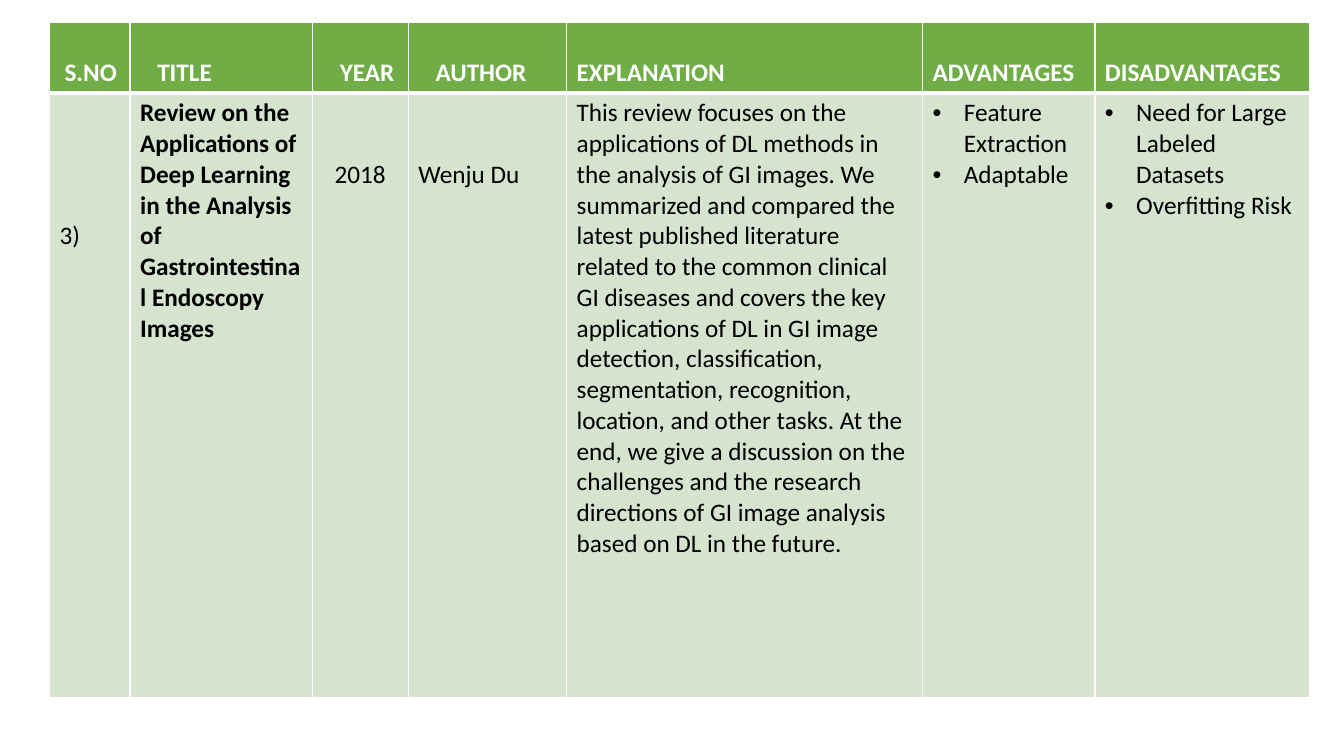
"""Builds a slide with a one-entry literature review table."""
from lxml import etree
from pptx import Presentation
from pptx.dml.color import RGBColor
from pptx.oxml import ns
from pptx.util import Inches, Pt

GREEN = RGBColor(0x70, 0xAD, 0x47)
PALE = RGBColor(0xD5, 0xE3, 0xCF)
WHITE = RGBColor(0xFF, 0xFF, 0xFF)
BLACK = RGBColor(0, 0, 0)
LINE = 0.305

heads = [("S.NO", 0.05), ("TITLE", 0.17), ("YEAR", 0.17), ("AUTHOR", 0.17),
         ("EXPLANATION", 0), ("ADVANTAGES", 0), ("DISADVANTAGES", 0)]
about = (
    "This review focuses on the applications of DL methods in the analysis of "
    "GI images. We summarized and compared the latest published literature "
    "related to the common clinical GI diseases and covers the key applications "
    "of DL in GI image detection, classification, segmentation, recognition, "
    "location, and other tasks. At the end, we give a discussion on the "
    "challenges and the research directions of GI image analysis based on DL "
    "in the future.")
title = ("Review on the Applications of Deep Learning in the Analysis of "
         "Gastrointestinal Endoscopy Images")
entry = [("3)", 0, 4), (title, 0, 0), ("2018", 0.12, 2), ("Wenju Du", 0, 2),
         (about, 0, 0), ("Feature Extraction\nAdaptable", 0, 0),
         ("Need for Large Labeled Datasets\nOverfitting Risk", 0, 0)]
rows = [[(words, shift, 1) for words, shift in heads], entry]
widths = [0.8, 1.81, 0.95, 1.57, 3.53, 1.71, 2.13]
heights = [0.7, 6]


def edge(cell, side, size):
    """Draws a white border on one side of a cell."""
    line = etree.SubElement(cell._tc.get_or_add_tcPr(), ns.qn("a:ln" + side),
                            w=str(Pt(size)))
    fill = etree.SubElement(line, ns.qn("a:solidFill"))
    etree.SubElement(fill, ns.qn("a:srgbClr"), val=str(WHITE))


def bullet(para):
    """Gives a paragraph a hanging round bullet."""
    props = para._p.get_or_add_pPr()
    props.set("marL", str(Inches(0.31)))
    props.set("indent", str(Inches(-0.31)))
    etree.SubElement(props, ns.qn("a:buFont"), typeface="Arial")
    etree.SubElement(props, ns.qn("a:buChar"), char="•")


deck = Presentation()
deck.slide_width = Inches(13.33)
deck.slide_height = Inches(7.5)
slide = deck.slides.add_slide(deck.slide_layouts[6])

frame = slide.shapes.add_table(2, 7, Inches(0.49), Inches(0.22),
                               Inches(sum(widths)), Inches(sum(heights)))
table = frame.table
for col, width in zip(table.columns, widths):
    col.width = Inches(width)
for row, height in zip(table.rows, heights):
    row.height = Inches(height)

for r, items in enumerate(rows):
    head = r == 0
    for c, (words, shift, skip) in enumerate(items):
        cell = table.cell(r, c)
        for side in "LRTB":
            edge(cell, side, 3 if side == ("B" if head else "T") else 1)
        cell.fill.solid()
        cell.fill.fore_color.rgb = GREEN if head else PALE
        cell.margin_left = Inches(0.1 + shift)
        cell.margin_right = Inches(0 if head else 0.1)
        cell.margin_top = Inches(0.05 + skip * LINE)
        cell.margin_bottom = Inches(0 if head else 0.05)
        cell.text = words
        for para in cell.text_frame.paragraphs:
            if not head and c > 4:
                bullet(para)
            font = para.font
            font.name = "Calibri"
            font.size = Pt(18)
            font.bold = head or c == 1
            font.color.rgb = WHITE if head else BLACK

deck.save("out.pptx")
